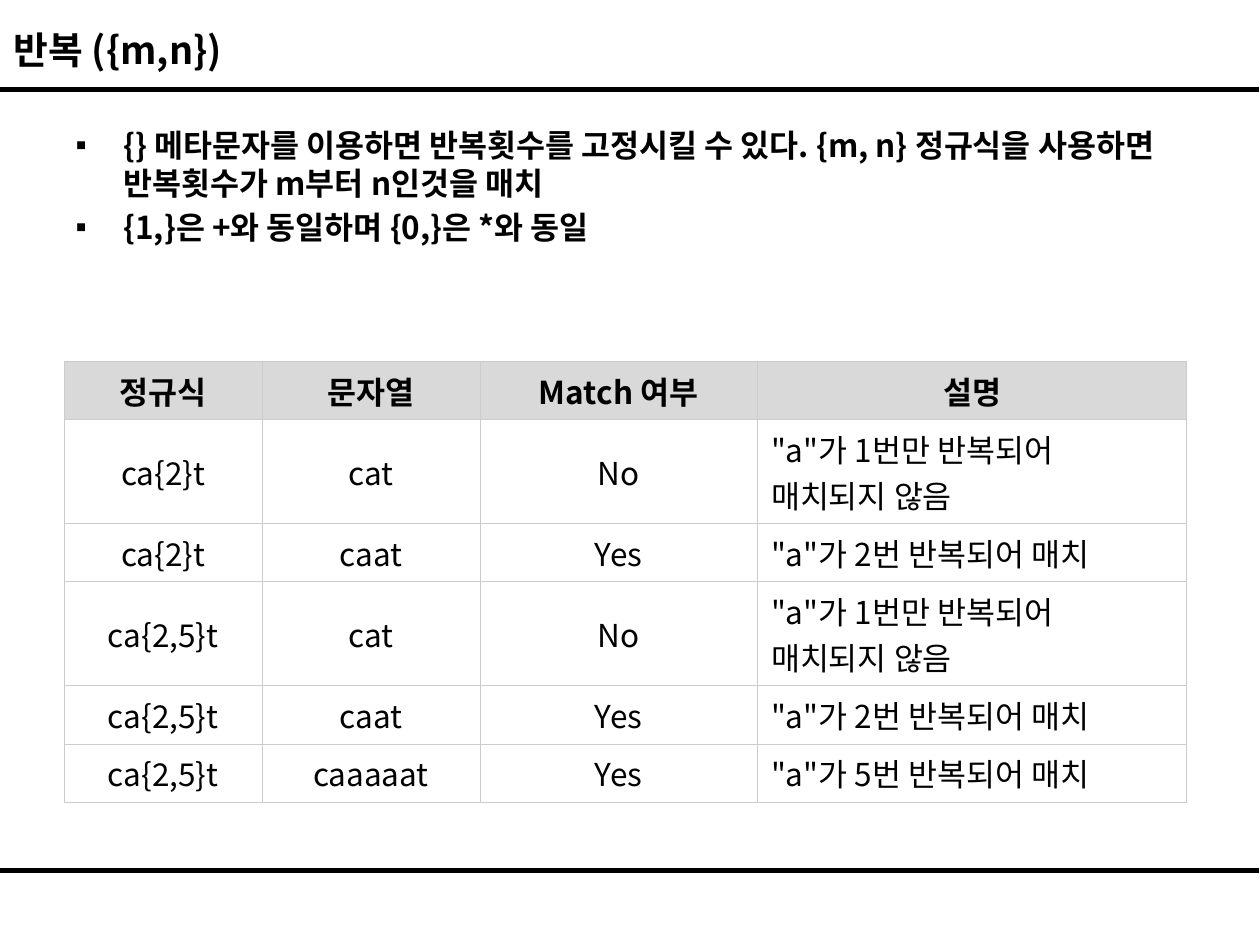
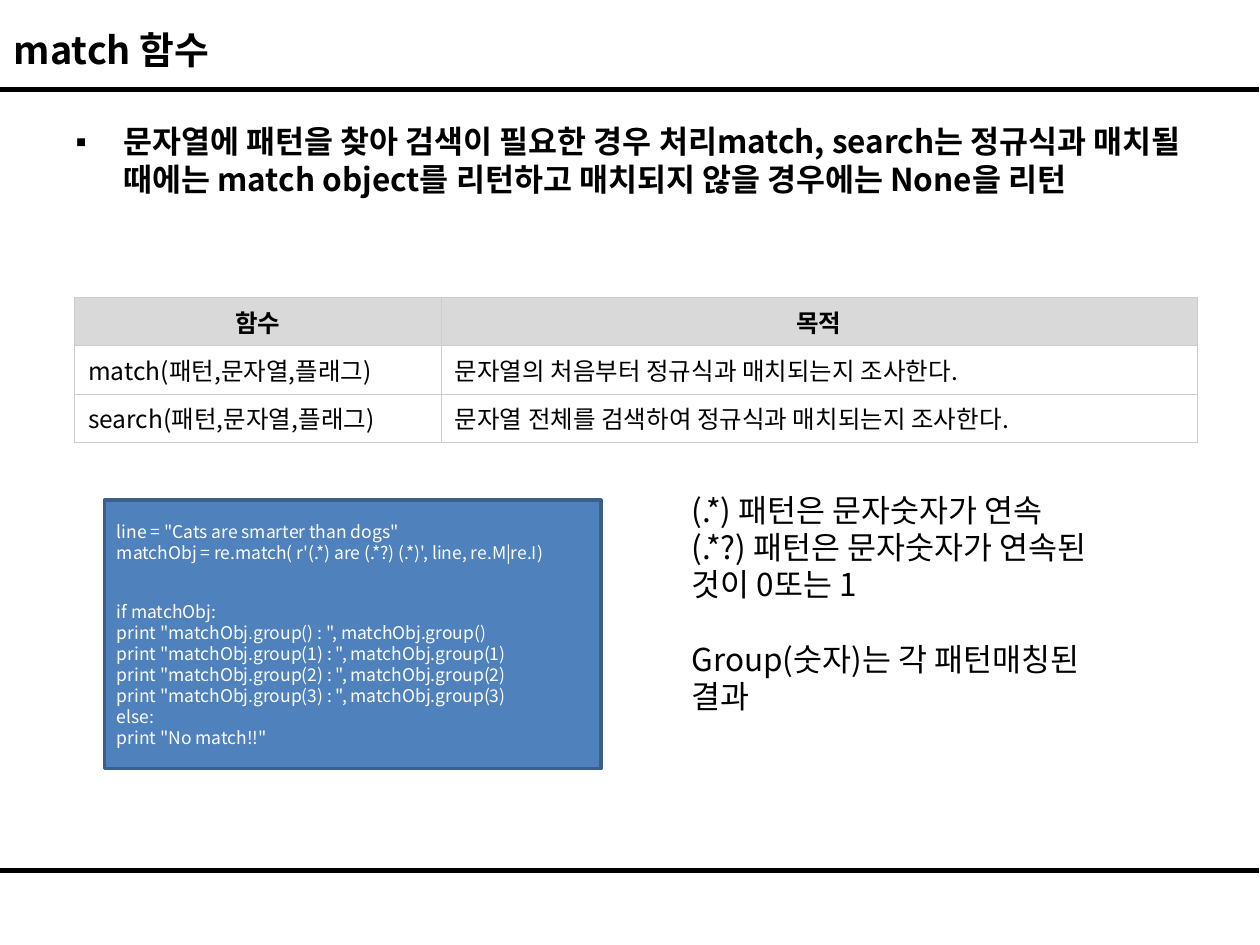
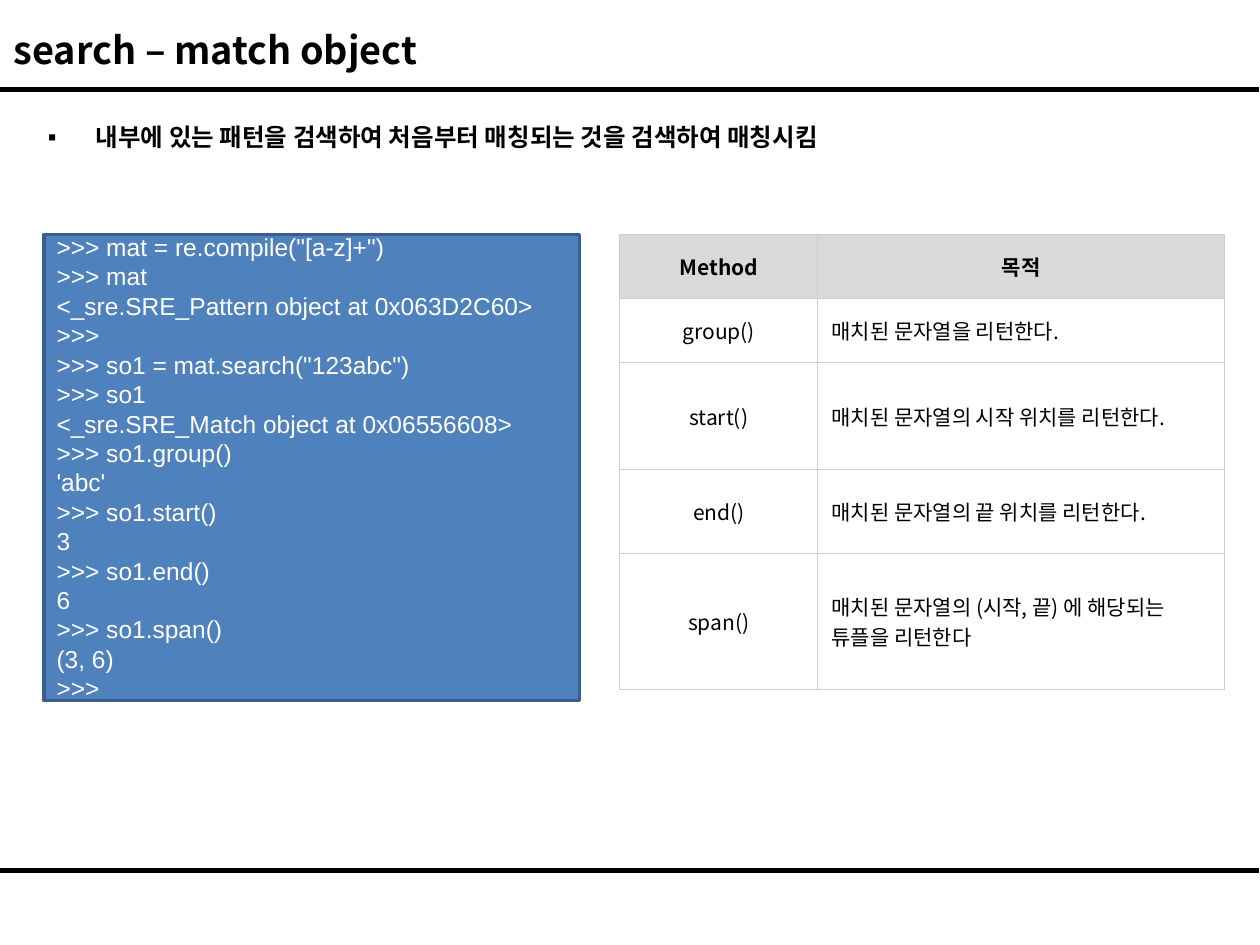
import pptx
import pptx.util
import pptx.dml.color
import pptx.enum.shapes
import pptx.enum.text
import pptx.oxml
import pptx.oxml.ns

Inches, Pt = pptx.util.Inches, pptx.util.Pt
RGB = pptx.dml.color.RGBColor
ALIGN = pptx.enum.text.PP_ALIGN
ANCHOR = pptx.enum.text.MSO_ANCHOR
FIT = pptx.enum.text.MSO_AUTO_SIZE
SHAPE = pptx.enum.shapes.MSO_SHAPE
LINE = pptx.enum.shapes.MSO_CONNECTOR
qn = pptx.oxml.ns.qn

BLACK, WHITE = RGB(0, 0, 0), RGB(255, 255, 255)
GREY, RULE = RGB(0xD9, 0xD9, 0xD9), RGB(0xCC, 0xCC, 0xCC)
BLUE, EDGE = RGB(0x4F, 0x81, 0xBD), RGB(0x3A, 0x5F, 0x8C)
NOTO, ARIAL = "Noto Sans CJK KR", "Arial"
WIDE, HIGH = 10, 7.5

# Content: boxes are left, top, width, height in inches
SLIDES = [
    {
        "title": "반복 ({m,n})",
        "body": {"box": (0.5, 0.95, 9, 1.37), "size": 18, "lines": [
            "{} 메타문자를 이용하면 반복횟수를 고정시킬 수 있다. {m, n} 정규식을 "
            "사용하면 반복횟수가 m부터 n인것을 매치",
            "{1,}은 +와 동일하며 {0,}은 *와 동일"]},
        "table": {"at": (0.51, 2.87), "size": 18, "mid": 3,
                  "cols": [1.57, 1.73, 2.2, 3.41], "rows": [0.46] * 6, "cells": [
            ("정규식", "문자열", "Match 여부", "설명"),
            ("ca{2}t", "cat", "No", '"a"가 1번만 반복되어 매치되지 않음'),
            ("ca{2}t", "caat", "Yes", '"a"가 2번 반복되어 매치'),
            ("ca{2,5}t", "cat", "No", '"a"가 1번만 반복되어 매치되지 않음'),
            ("ca{2,5}t", "caat", "Yes", '"a"가 2번 반복되어 매치'),
            ("ca{2,5}t", "caaaaat", "Yes", '"a"가 5번 반복되어 매치')]},
    },
    {
        "title": "match 함수",
        "body": {"box": (0.5, 0.92, 9, 1.45), "size": 18, "lines": [
            "문자열에 패턴을 찾아 검색이 필요한 경우 처리match, search는 정규식과 "
            "매치될 때에는 match object를 리턴하고 매치되지 않을 경우에는 None을 리턴"]},
        "table": {"at": (0.59, 2.36), "size": 14, "mid": 0,
                  "cols": [2.91, 6], "rows": [0.38] * 3, "cells": [
            ("함수", "목적"),
            ("match(패턴,문자열,플래그)", "문자열의 처음부터 정규식과 매치되는지 조사한다."),
            ("search(패턴,문자열,플래그)",
             "문자열 전체를 검색하여 정규식과 매치되는지 조사한다.")]},
        "code": {"box": (0.83, 3.97, 3.94, 2.13), "size": 10, "font": NOTO,
                 "pitch": 12, "gaps": {2: 21.6}, "lines": [
            'line = "Cats are smarter than dogs"',
            "matchObj = re.match( r'(.*) are (.*?) (.*)', line, re.M|re.I)",
            "if matchObj:",
            'print "matchObj.group() : ", matchObj.group()',
            'print "matchObj.group(1) : ", matchObj.group(1)',
            'print "matchObj.group(2) : ", matchObj.group(2)',
            'print "matchObj.group(3) : ", matchObj.group(3)',
            "else:",
            'print "No match!!"']},
        "notes": [
            ((5.39, 3.86, 3.62, 1.01), ["(.*) 패턴은 문자숫자가 연속",
                                        "(.*?) 패턴은 문자숫자가 연속된 것이 0또는 1"]),
            ((5.39, 5.04, 3.62, 0.71), ["Group(숫자)는 각 패턴매칭된 결과"])],
    },
    {
        "title": "search – match object",
        "body": {"box": (0.28, 0.92, 9, 0.74), "size": 14, "font": ARIAL, "lines": [
            "내부에 있는 패턴을 검색하여 처음부터 매칭되는 것을 검색하여 매칭시킴"]},
        "table": {"at": (4.92, 1.86), "size": 12, "mid": 1,
                  "cols": [1.57, 3.23], "rows": [0.51, 0.51, 0.85, 0.66, 1.08],
                  "cells": [
            ("Method", "목적"),
            ("group()", "매치된 문자열을 리턴한다."),
            ("start()", "매치된 문자열의 시작 위치를 리턴한다."),
            ("end()", "매치된 문자열의 끝 위치를 리턴한다."),
            ("span()", "매치된 문자열의 (시작, 끝) 에 해당되는 튜플을 리턴한다")]},
        "code": {"box": (0.35, 1.86, 4.25, 3.7), "size": 14, "font": ARIAL,
                 "pitch": 16.8, "lines": [
            '>>> mat = re.compile("[a-z]+")',
            ">>> mat",
            "<_sre.SRE_Pattern object at 0x063D2C60>",
            ">>>",
            '>>> so1 = mat.search("123abc")',
            ">>> so1",
            "<_sre.SRE_Match object at 0x06556608>",
            ">>> so1.group()",
            "'abc'",
            ">>> so1.start()",
            "3",
            ">>> so1.end()",
            "6",
            ">>> so1.span()",
            "(3, 6)",
            ">>>"]},
    },
]


def node(tag, **attrs):
    """Make one drawing element."""
    item = pptx.oxml.parse_xml(f"<a:{tag} {pptx.oxml.ns.nsdecls('a')}/>")
    for key, value in attrs.items():
        item.set(key, str(value))
    return item


def put(frame, lines, size=18, font=NOTO, color=BLACK, bold=False, align=ALIGN.LEFT,
        anchor=ANCHOR.TOP, pitch=1.0, gaps=None, bullet=None):
    """Write one paragraph per line; gaps maps a line index to space before."""
    frame.word_wrap = True
    frame.vertical_anchor = anchor
    for i, line in enumerate(lines):
        para = frame.paragraphs[0] if i == 0 else frame.add_paragraph()
        para.alignment = align
        para.line_spacing = pitch
        para.space_before = Pt((gaps or {}).get(i, 0))
        if bullet:
            props = para._p.get_or_add_pPr()
            props.set("marL", str(Inches(0.38)))
            props.set("indent", str(-Inches(0.38)))
            props.append(node("buChar", char=bullet))
        run = para.add_run()
        run.text = line
        run.font.size, run.font.bold, run.font.name = Pt(size), bold, font
        run.font.color.rgb = color
        run._r.get_or_add_rPr().find(qn("a:latin")).addnext(node("ea", typeface=NOTO))


def place(shape, box):
    shape.left, shape.top, shape.width, shape.height = map(Inches, box)


def edge(cell):
    """Draw a thin rule on all four sides of a cell."""
    props = cell._tc.get_or_add_tcPr()
    for i, side in enumerate("LRTB"):
        line = node("ln" + side, w=Pt(0.6))
        fill = node("solidFill")
        fill.append(node("srgbClr", val=RULE))
        line.append(fill)
        props.insert(i, line)


def base(deck, title):
    """Start a slide with its title and the two black rules."""
    slide = deck.slides.add_slide(deck.slide_layouts[1])
    for y in (0.71, 6.91):
        rule = slide.shapes.add_connector(LINE.STRAIGHT, Inches(-0.01), Inches(y),
                                          Inches(WIDE - 0.01), Inches(y))
        rule.line.color.rgb, rule.line.width = BLACK, Pt(2.75)
        rule._element.spPr.append(node("effectLst"))
    head = slide.shapes.title
    place(head, (0.01, 0.16, 9.88, 0.46))
    head.text_frame.auto_size = FIT.NONE
    put(head.text_frame, [title], size=21.6, bold=True, anchor=ANCHOR.MIDDLE)
    return slide


def list_body(slide, box, size, lines, font=NOTO):
    body = slide.placeholders[1]
    place(body, box)
    body.text_frame.auto_size = FIT.NONE
    gaps = {i: size * 0.2 for i in range(1, len(lines))}
    put(body.text_frame, lines, size=size, font=font, bold=True, gaps=gaps, bullet="▪")


def grid(slide, at, size, mid, cols, rows, cells):
    """Add a table whose first mid columns are centred."""
    box = map(Inches, (*at, sum(cols), sum(rows)))
    table = slide.shapes.add_table(len(rows), len(cols), *box).table
    table.horz_banding = False
    for col, width in zip(table.columns, cols):
        col.width = Inches(width)
    for r, height in enumerate(rows):
        table.rows[r].height = Inches(height)
        for c, text in enumerate(cells[r]):
            cell = table.cell(r, c)
            cell.margin_left = cell.margin_right = Inches(0.11)
            cell.margin_top = cell.margin_bottom = Inches(0.05)
            cell.vertical_anchor = ANCHOR.MIDDLE
            cell.fill.solid()
            cell.fill.fore_color.rgb = WHITE if r else GREY
            edge(cell)
            align = ALIGN.CENTER if r == 0 or c < mid else ALIGN.LEFT
            put(cell.text_frame, [text], size=size, bold=r == 0, align=align,
                anchor=ANCHOR.MIDDLE)


def code_box(slide, box, lines, pitch, **form):
    shape = slide.shapes.add_shape(SHAPE.RECTANGLE, *map(Inches, box))
    shape.shadow.inherit = False
    shape.fill.solid()
    shape.fill.fore_color.rgb = BLUE
    shape.line.color.rgb, shape.line.width = EDGE, Pt(2)
    put(shape.text_frame, lines, color=WHITE, anchor=ANCHOR.MIDDLE,
        pitch=Pt(pitch), **form)


def note(slide, box, lines):
    frame = slide.shapes.add_textbox(*map(Inches, box)).text_frame
    put(frame, lines, pitch=Pt(21))
    frame.auto_size = FIT.SHAPE_TO_FIT_TEXT


def main():
    deck = pptx.Presentation()
    deck.slide_width, deck.slide_height = Inches(WIDE), Inches(HIGH)
    for page in SLIDES:
        slide = base(deck, page["title"])
        list_body(slide, **page["body"])
        grid(slide, **page["table"])
        if "code" in page:
            code_box(slide, **page["code"])
        for box, lines in page.get("notes", []):
            note(slide, box, lines)
    deck.save("out.pptx")


if __name__ == "__main__":
    main()
